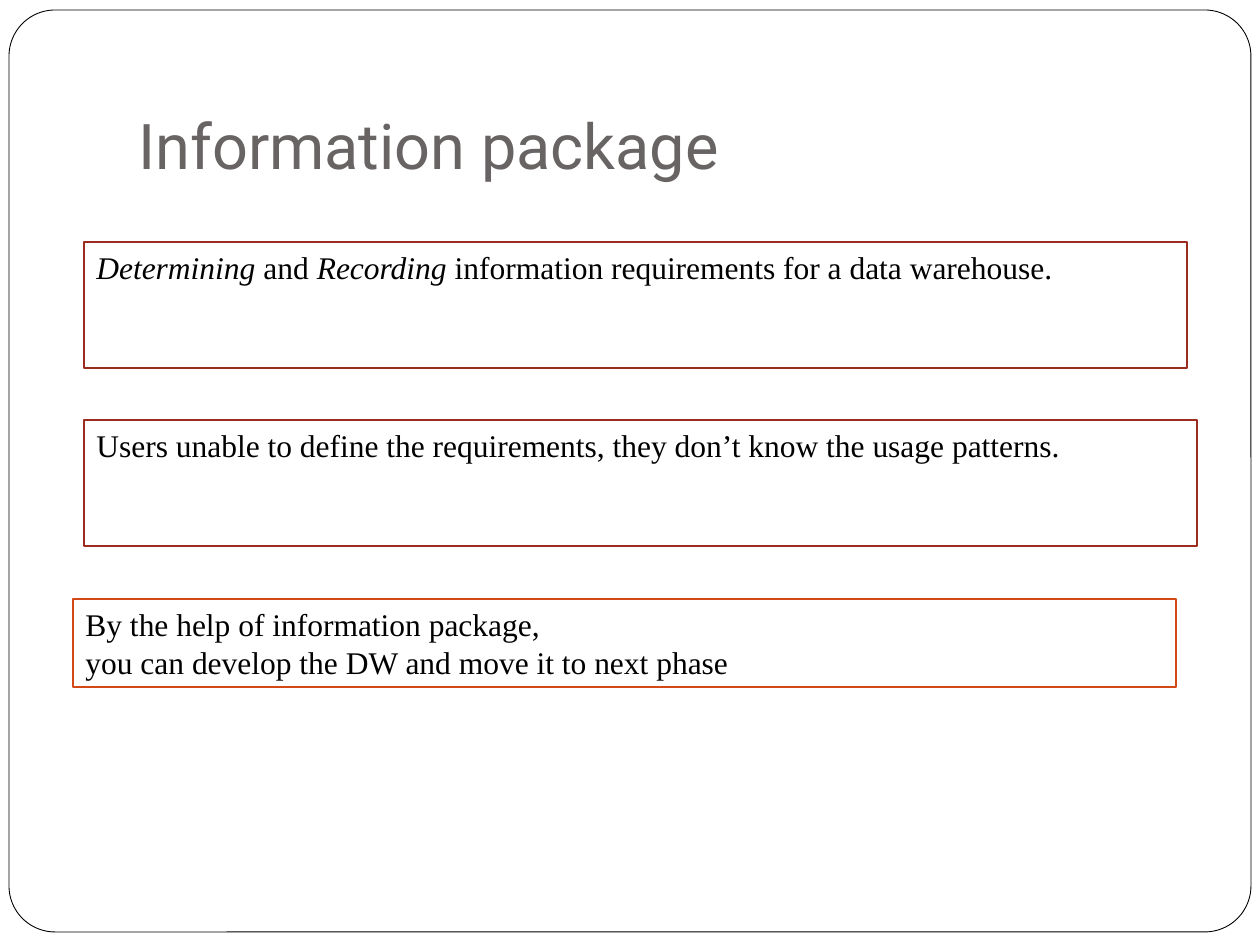
from pptx import Presentation
from pptx.dml.color import RGBColor
from pptx.enum.shapes import MSO_SHAPE
from pptx.enum.text import MSO_ANCHOR, PP_ALIGN
from pptx.util import Emu, Pt

PIXELS_PER_INCH = 126
BODY_FONT = "Times New Roman"
WHITE, BLACK, GREY = "FFFFFF", "000000", "696464"
BRICK, ORANGE = "9B2D1F", "D34817"


def px(length):
    return Emu(round(length * 914400 / PIXELS_PER_INCH))


def color(hex_string):
    return RGBColor.from_string(hex_string)


def format_run(run, font, size, hex_string, italic=False):
    run.font.name = font
    run.font.size = Pt(size)
    run.font.color.rgb = color(hex_string)
    run.font.bold = False
    run.font.italic = italic


def set_insets(text_frame, bottom):
    text_frame.margin_left = text_frame.margin_right = Pt(7.2)
    text_frame.margin_top = Pt(3.6)
    text_frame.margin_bottom = Pt(bottom)
    text_frame.word_wrap = True


def add_outlined_shape(slide, kind, box, line_color, line_width):
    shape = slide.shapes.add_shape(kind, *map(px, box))
    shape.shadow.inherit = False
    shape.fill.solid()
    shape.fill.fore_color.rgb = color(WHITE)
    shape.line.color.rgb = color(line_color)
    shape.line.width = Pt(line_width)
    return shape


def add_frame(slide):
    """Draw the rounded page border behind everything else."""
    frame = add_outlined_shape(
        slide, MSO_SHAPE.ROUNDED_RECTANGLE, (9, 10, 1242, 922), BLACK, 0.5)
    frame.adjustments[0] = 0.05
    slide.shapes.title.element.addprevious(frame.element)


def set_title(slide, text):
    title = slide.shapes.title
    title.left, title.top, title.width, title.height = map(px, (126, 38, 1071, 157))
    text_frame = title.text_frame
    text_frame.text = text
    text_frame.vertical_anchor = MSO_ANCHOR.BOTTOM
    set_insets(text_frame, bottom=7.2)
    paragraph = text_frame.paragraphs[0]
    paragraph.alignment = PP_ALIGN.LEFT
    format_run(paragraph.runs[0], "Roboto", 36, GREY)


def add_statement(slide, box, line_color, paragraphs, alignment=PP_ALIGN.LEFT):
    """Add a bordered box; each paragraph is a list of (text, italic) pairs."""
    shape = add_outlined_shape(slide, MSO_SHAPE.RECTANGLE, box, line_color, 1)
    text_frame = shape.text_frame
    text_frame.vertical_anchor = MSO_ANCHOR.TOP
    set_insets(text_frame, bottom=3.6)
    for index, pieces in enumerate(paragraphs):
        paragraph = text_frame.add_paragraph() if index else text_frame.paragraphs[0]
        paragraph.alignment = alignment
        for text, italic in pieces:
            run = paragraph.add_run()
            run.text = text
            format_run(run, BODY_FONT, 18, BLACK, italic)


def main():
    presentation = Presentation()
    presentation.slide_width, presentation.slide_height = px(1260), px(945)
    slide = presentation.slides.add_slide(presentation.slide_layouts[5])

    add_frame(slide)
    set_title(slide, "Information package")
    add_statement(slide, (84, 242, 1103, 126), BRICK, [[
        ("Determining", True),
        (" and ", False),
        ("Recording ", True),
        ("information requirements for a data warehouse.", False),
    ]])
    add_statement(slide, (84, 420, 1113, 126), BRICK, [[
        ("Users unable to define the requirements, "
         "they don’t know the usage patterns.", False),
    ]])
    add_statement(slide, (73, 599, 1103, 88), ORANGE, [
        [("By the help of information package, ", False)],
        [("you can develop the DW and move it to next phase", False)],
    ], PP_ALIGN.JUSTIFY)

    presentation.save("out.pptx")


if __name__ == "__main__":
    main()
